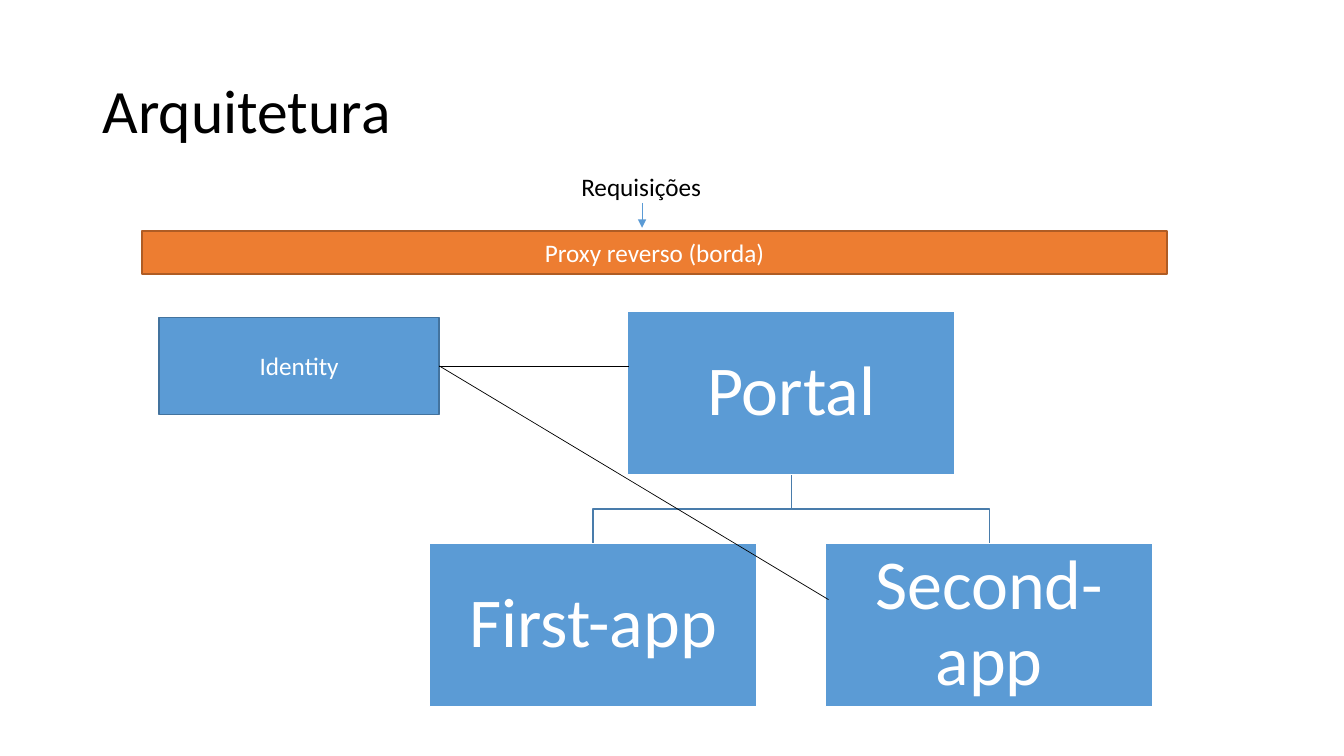
from lxml.etree import SubElement
from pptx import Presentation
from pptx.dml.color import RGBColor
from pptx.enum.shapes import MSO_CONNECTOR, MSO_SHAPE
from pptx.enum.text import MSO_ANCHOR, MSO_AUTO_SIZE, PP_ALIGN
from pptx.oxml.ns import qn
from pptx.util import Cm, Pt

COLORS = {
    "text": "000000", "light": "FFFFFF", "blue": "5B9BD5", "blue_edge": "43739E",
    "branch": "497CAB", "orange": "ED7D31", "orange_edge": "AF5C24",
}


class Diagram:
    """Draws styled diagram elements on one slide."""

    font = "Calibri"

    def __init__(self, slide):
        self.slide = slide

    def color(self, name):
        return RGBColor.from_string(COLORS[name])

    def add_text(self, frame, text, size, color, align=PP_ALIGN.LEFT, spacing=1.0):
        paragraph = frame.paragraphs[0]
        paragraph.alignment = align
        paragraph.line_spacing = spacing
        run = paragraph.add_run()
        run.text = text
        run.font.name = self.font
        run.font.size = Pt(size)
        run.font.color.rgb = self.color(color)

    def outline(self, line, color, width):
        line.color.rgb = self.color(color)
        line.width = Pt(width)

    def title(self, text, left, top, width, height):
        heading = self.slide.shapes.title
        heading.left, heading.top = Cm(left), Cm(top)
        heading.width, heading.height = Cm(width), Cm(height)
        heading.text_frame.vertical_anchor = MSO_ANCHOR.MIDDLE
        self.add_text(heading.text_frame, text, 44, "text", spacing=0.9)

    def box(self, text, left, top, width, height, fill, edge, size=18, inset=None, spacing=1.0):
        block = self.slide.shapes.add_shape(
            MSO_SHAPE.RECTANGLE, Cm(left), Cm(top), Cm(width), Cm(height))
        block.shadow.inherit = False
        block.fill.solid()
        block.fill.fore_color.rgb = self.color(fill)
        self.outline(block.line, edge, 1)
        frame = block.text_frame
        frame.word_wrap = True
        frame.vertical_anchor = MSO_ANCHOR.MIDDLE
        if inset is not None:
            frame.margin_left = frame.margin_right = Cm(inset)
            frame.margin_top = frame.margin_bottom = Cm(inset)
        self.add_text(frame, text, size, "light", PP_ALIGN.CENTER, spacing)

    def label(self, text, left, top, width, height):
        caption = self.slide.shapes.add_textbox(Cm(left), Cm(top), Cm(width), Cm(height))
        caption.text_frame.word_wrap = False
        caption.text_frame.auto_size = MSO_AUTO_SIZE.SHAPE_TO_FIT_TEXT
        self.add_text(caption.text_frame, text, 18, "text")

    def branch(self, points):
        start, *rest = [(Cm(x), Cm(y)) for x, y in points]
        builder = self.slide.shapes.build_freeform(*start)
        builder.add_line_segments(rest, close=False)
        elbow = builder.convert_to_shape()
        elbow.shadow.inherit = False
        elbow.fill.background()
        self.outline(elbow.line, "branch", 1)

    def link(self, start, end, color="text", arrow=False):
        wire = self.slide.shapes.add_connector(
            MSO_CONNECTOR.STRAIGHT, *(Cm(value) for value in (*start, *end)))
        self.outline(wire.line, color, 0.5)
        properties = wire.element.spPr
        if arrow:
            SubElement(properties.find(qn("a:ln")), qn("a:tailEnd"), type="triangle")
        SubElement(properties, qn("a:effectLst"))


def main():
    presentation = Presentation()
    presentation.slide_width, presentation.slide_height = Cm(33.87), Cm(19.05)
    diagram = Diagram(presentation.slides.add_slide(presentation.slide_layouts[5]))
    diagram.title("Arquitetura", 2.33, 1.01, 29.21, 3.68)

    node_width, node_height = 8.26, 4.11
    portal_left, portal_top, apps_top, app_offset = 15.81, 7.85, 13.69, 4.99
    portal_center, portal_bottom = portal_left + node_width / 2, portal_top + node_height
    middle = (portal_bottom + apps_top) / 2
    for side in (1, -1):
        app_center = portal_center + side * app_offset
        diagram.branch([(portal_center, portal_bottom), (portal_center, middle),
                        (app_center, middle), (app_center, apps_top)])

    nodes = [("Portal", 0, portal_top), ("First-app", -app_offset, apps_top),
             ("Second-app", app_offset, apps_top)]
    for name, offset, top in nodes:
        diagram.box(name, portal_left + offset, top, node_width, node_height,
                    "blue", "light", size=50, inset=0.08, spacing=0.9)

    diagram.box("Identity", 4.01, 8, 7.06, 2.44, "blue", "blue_edge")
    identity_exit = (11.07, 9.22)
    for target in ((15.85, 9.22), (20.88, 15.11)):
        diagram.link(identity_exit, target)

    diagram.box("Proxy reverso (borda)", 3.58, 5.82, 25.83, 1.09, "orange", "orange_edge")
    diagram.link((16.18, 5.11), (16.18, 5.74), "blue", arrow=True)
    diagram.label("Requisições", 14.4, 4.19, 3.56, 1.02)
    presentation.save("out.pptx")


if __name__ == "__main__":
    main()
